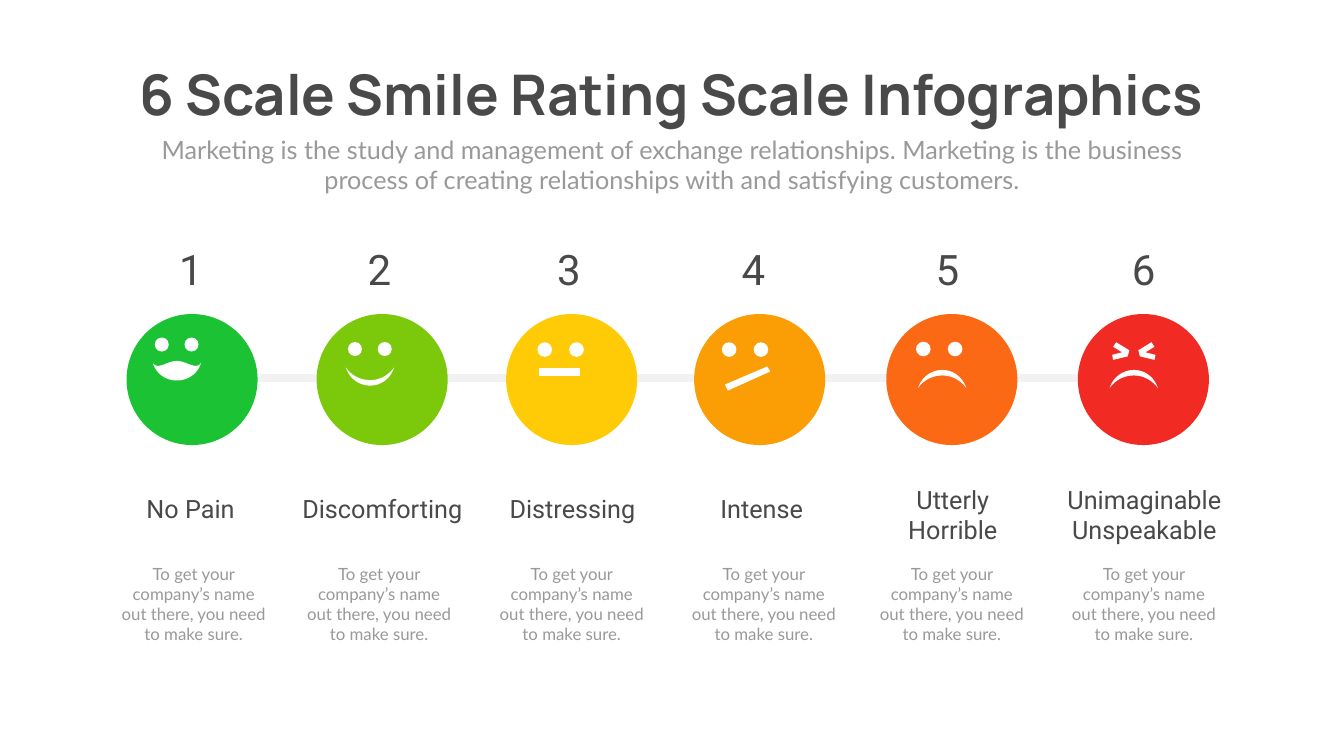
from lxml import etree
from pptx import Presentation
from pptx.dml.color import RGBColor
from pptx.enum.shapes import MSO_CONNECTOR, MSO_SHAPE
from pptx.enum.text import MSO_ANCHOR, MSO_AUTO_SIZE, PP_ALIGN
from pptx.oxml.ns import qn
from pptx.util import Pt

OVAL, LINE = MSO_SHAPE.OVAL, MSO_CONNECTOR.STRAIGHT
TOP, MID = MSO_ANCHOR.TOP, MSO_ANCHOR.MIDDLE

TITLE = "6 Scale Smile Rating Scale Infographics"
INTRO = ("Marketing is the study and management of exchange relationships. "
         "Marketing is the business process of creating relationships with "
         "and satisfying customers.")
NOTE = "To get your company’s name out there, you need to make sure."
COLORS = {"dark": "494949", "gray": "999999", "rail": "F2F2F2", "white": "FFFFFF",
          "green": "1BC334", "lime": "7CC90C", "yellow": "FFCB07",
          "amber": "FB9D04", "orange": "FB6915", "red": "F12A24"}

# label lines, label width, rows, colour, then centres of face, number, label, note
STEPS = [
    (["No Pain"], 235, 1, "green", 274.3, 272.5, 272.2, 276.5),
    (["Discomforting"], 261, 1, "lime", 545.8, 541.8, 546.1, 541.4),
    (["Distressing"], 261, 1, "yellow", 816.5, 812.5, 817.6, 816.5),
    (["Intense"], 235, 1, "amber", 1085, 1076, 1087.9, 1090.8),
    (["Utterly", "Horrible"], 226, 2, "orange", 1359.4, 1353.2, 1360.8, 1359.4),
    (["Unimaginable Unspeakable"], 242, 2, "red", 1633, 1633.3, 1634.4, 1633.7),
]

# Outlines: a pair is a corner, a triple of pairs is a Bezier curve
FROWN = [(34.6, 0),
         ((18, 0), (4.3, 11.5), (0, 26)), ((7.2, 15.1), (20.2, 7.9), (34.6, 7.9)),
         ((49, 7.9), (61.2, 15.1), (69, 26)), ((64, 10.8), (51, 0), (34.6, 0))]
GRIN = [(34.6, 0),
        ((20.2, 0), (7.9, 13.7), (0, 2.9)), ((5, 18), (18, 28), (34.6, 28)),
        ((50.4, 28), (64.8, 18), (69, 2.9)), ((61.9, 13.7), (48.2, 0), (34.6, 0))]
SLASH = [(0, 25.9), (4.3, 34.5), (64.8, 7.2), (60.5, 0)]
SQUINT = [(1.4, 25.2), (22.3, 20.2), (24.5, 11.5), (5.8, 0),
          (1.4, 6.5), (14.4, 14.4), (0, 18)]

# Offsets from the face centre. Eyes: middle x, y, gap, size
EYES = [(-22, -50, 42.5, 20), (-17.6, -43.6, 42.5, 20), (-15.8, -42.8, 45.4, 20.9),
        (-20.9, -42.8, 45.4, 20.9), (-18, -43.6, 45.4, 20.9), None]
# Outline parts: outline, left, top, mirrored x width, mirrored y height
PARTS = [
    [(GRIN, -56.2, -26.6, 0, 0)],
    [(FROWN, -51.8, -17.3, 0, 26)],
    [],
    [(SLASH, -49.7, -18.7, 0, 0)],
    [(FROWN, -48.2, -13.7, 0, 0)],
    [(FROWN, -48.2, -13.7, 0, 0), (SQUINT, -44.6, -53.3, 0, 0),
     (SQUINT, -7.2, -53.3, 24.5, 0)],
]
FLAT = 2  # the face with a straight line for a mouth
FACE_Y, FACE_D = 542.2, 187.2

deck = Presentation()
deck.slide_width, deck.slide_height = Pt(1919.52), Pt(1080)
slide = deck.slides.add_slide(deck.slide_layouts[0])
shapes = slide.shapes


def rgb(name):
    return RGBColor.from_string(COLORS[name])


def write(box, lines, size, font, color="dark", bold=False, anchor=TOP, wrap=True):
    frame = box.text_frame
    frame.text = "\n".join(lines)
    frame.word_wrap, frame.auto_size = wrap, MSO_AUTO_SIZE.NONE
    frame.vertical_anchor = anchor
    for para in frame.paragraphs:
        para.alignment = PP_ALIGN.CENTER
        para.space_before = Pt(0)
        para.font.size, para.font.name, para.font.bold = Pt(size), font, bold
        para.font.color.rgb = rgb(color)


def place(box, x, y, w, h):
    box.left, box.top, box.width, box.height = Pt(x), Pt(y), Pt(w), Pt(h)


def label(mid, y, w, h, lines, size, font, **look):
    """Add a text box centred on mid."""
    box = shapes.add_textbox(Pt(mid - w / 2), Pt(y), Pt(w), Pt(h))
    write(box, lines, size, font, **look)


def paint(shape, color):
    shape.shadow.inherit = False
    shape.fill.solid()
    shape.fill.fore_color.rgb = rgb(color)
    shape.line.fill.background()


def disc(x, y, size, color):
    """Add a circle centred on x, y."""
    paint(shapes.add_shape(OVAL, Pt(x - size / 2), Pt(y - size / 2),
                           Pt(size), Pt(size)), color)


def rule(x1, x2, y, color):
    line = shapes.add_connector(LINE, Pt(x1), Pt(y), Pt(x2), Pt(y))
    line.line.color.rgb, line.line.width = rgb(color), Pt(12)
    etree.SubElement(line._element.spPr, qn("a:effectLst"))


def trace(outline, steps=12):
    """Turn corners and curves into a list of points."""
    dots = []
    for item in outline:
        if len(item) == 2:
            dots.append(item)
            continue
        knots = [dots[-1], *item]
        for step in range(1, steps + 1):
            t = step / steps
            u = 1 - t
            mix = (u ** 3, 3 * u * u * t, 3 * u * t * t, t ** 3)
            dots.append(tuple(sum(m * k[axis] for m, k in zip(mix, knots))
                              for axis in (0, 1)))
    return dots


def draw(outline, x, y, flip_x, flip_y):
    dots = [(Pt(x + (flip_x - px if flip_x else px)),
             Pt(y + (flip_y - py if flip_y else py))) for px, py in trace(outline)]
    path = shapes.build_freeform(*dots[0])
    path.add_line_segments(dots[1:], close=True)
    paint(path.convert_to_shape(), "white")


title, intro = shapes.title, slide.placeholders[1]
place(title, 138.2, 80.6, 1642.3, 104.4)
write(title, [TITLE], 80, "Manrope", bold=True, anchor=MID, wrap=False)
place(intro, 210.2, 187.9, 1499, 94.3)
write(intro, [INTRO], 36, "Lato", color="gray")

rule(266.4, 1630, 540, "rail")
for i, (lines, width, rows, color, face, num, name, note) in enumerate(STEPS):
    label(num, 344.9, 159, 80, [str(i + 1)], 60, "Roboto")
    disc(face, FACE_Y, FACE_D, color)
    if EYES[i]:
        mid, y, gap, size = EYES[i]
        for side in (-0.5, 0.5):
            disc(face + mid + side * gap, FACE_Y + y, size, "white")
    for outline, x, y, flip_x, flip_y in PARTS[i]:
        draw(outline, face + x, FACE_Y + y, flip_x, flip_y)
    if i == FLAT:
        rule(face - 46.8, face + 11.5, FACE_Y - 10.8, "white")
    top, high = (700.6, 51.1) if rows == 1 else (687.6, 94.3)
    label(name, top, width, high, lines, 36, "Roboto")
    label(note, 801.4, 226, 123.8, [NOTE], 24, "Lato", color="gray")

deck.save("out.pptx")
